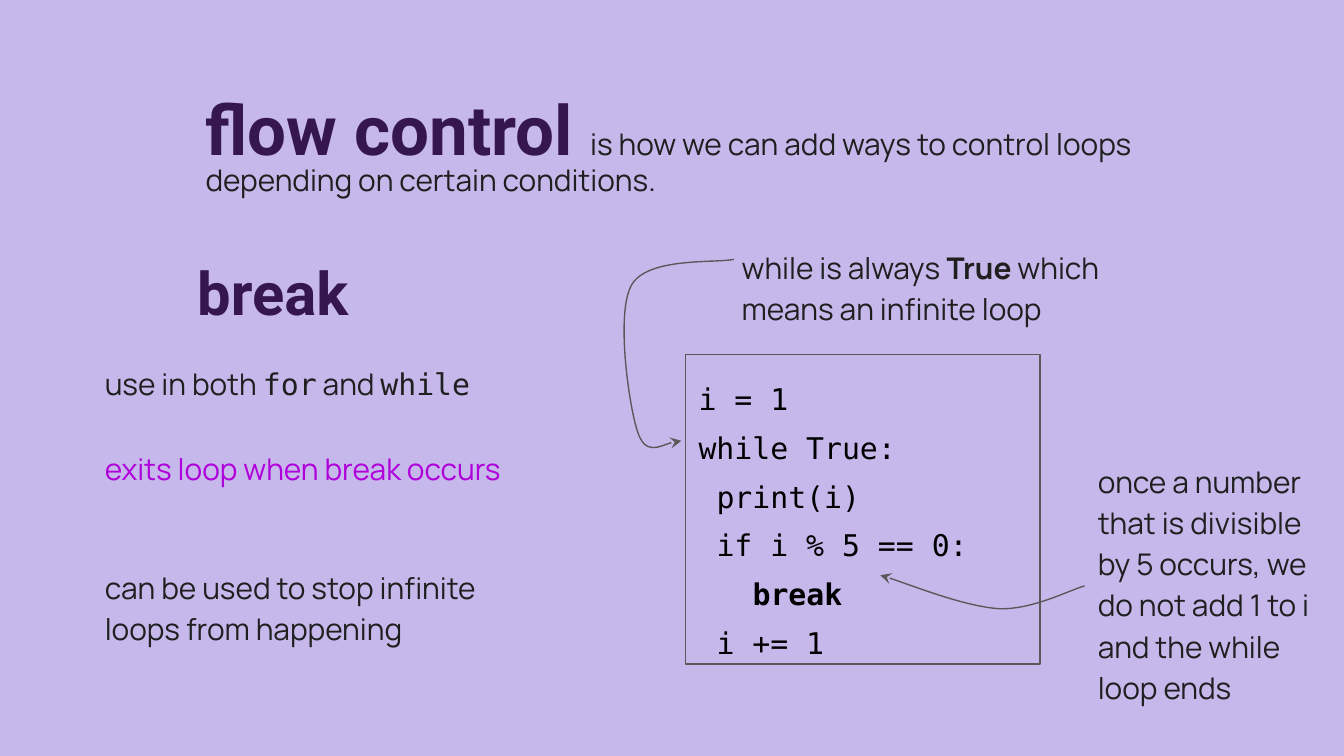
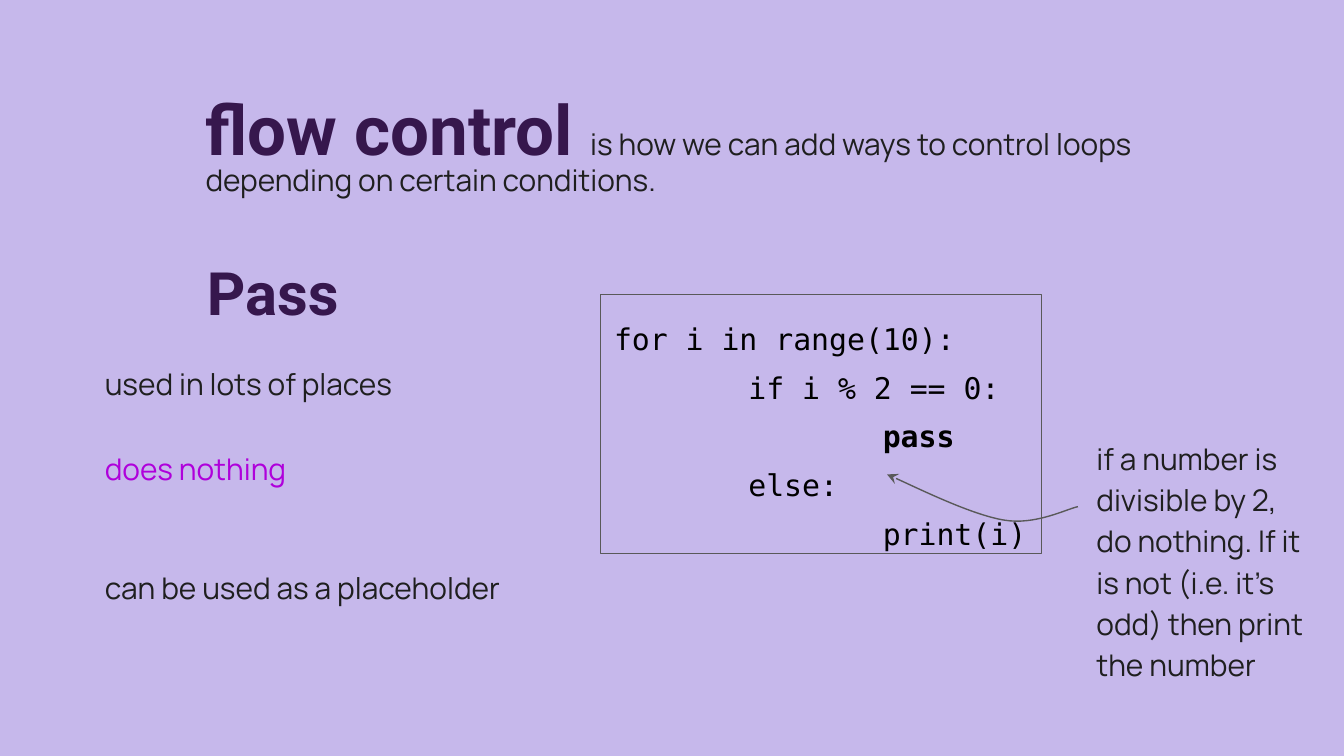
from collections import namedtuple
from dataclasses import dataclass, replace

from pptx import Presentation
from pptx.dml.color import RGBColor
from pptx.enum.shapes import MSO_SHAPE
from pptx.enum.text import MSO_ANCHOR, MSO_AUTO_SIZE, PP_ALIGN
from pptx.oxml.ns import qn
from pptx.oxml.xmlchemy import OxmlElement
from pptx.util import Inches, Pt


@dataclass(frozen=True)
class Style:
    font: str
    size: float
    color: str
    bold: bool = False


@dataclass(frozen=True)
class Spacing:
    line: float
    before: float = 0
    after: float = 0


@dataclass(frozen=True)
class Theme:
    background: str = "C6B8EB"
    outline: str = "595959"
    outline_width: float = 0.75
    title: Style = Style("Roboto", 37, "36174D", True)
    heading: Style = Style("Roboto", 32, "36174D", True)
    body: Style = Style("Manrope", 16, "1F1F1F")
    accent: Style = Style("Manrope", 16, "AF00DB")
    inline_code: Style = Style("DejaVu Sans Mono", 16, "1F1F1F")
    code: Style = Style("DejaVu Sans Mono", 16, "000000")
    title_spacing: Spacing = Spacing(0.8)
    body_spacing: Spacing = Spacing(1.15, 6, 5)
    code_spacing: Spacing = Spacing(1.36)


THEME = Theme()
Box = namedtuple("Box", "left top width height")

# The slide is a grid of 100 columns and 56.25 rows; boxes are in these units.
CELL = Inches(0.1)
COLUMNS, ROWS = 100, 56.25
COMPARISON_LAYOUT = 4

TITLE_BOX = Box(14.3, 6.6, 73.4, 9.2)
HEADING_BOX = Box(3.9, 19.1, 32.8, 6.3)
POINTS_BOX = Box(6.8, 25.8, 32.8, 23)
POINT_OFFSETS = (0, 6.3, 15.2)
LINE_ROWS = 3.1
PADDING_ROWS = 1.6


def grid(value):
    return round(value * CELL)


def bold(style):
    return replace(style, bold=True)


def place(shape, box):
    shape.left, shape.top, shape.width, shape.height = map(grid, box)


def write(para, text, *, style):
    span = para.add_run()
    span.text = text
    span.font.name = style.font
    span.font.size = Pt(style.size)
    span.font.bold = style.bold
    span.font.color.rgb = RGBColor.from_string(style.color)


def fill_frame(shape, lines, spacing, align=PP_ALIGN.LEFT):
    """Write lines, each an (indent in columns, spans) pair, into a shape."""
    frame = shape.text_frame
    frame.word_wrap = True
    frame.auto_size = MSO_AUTO_SIZE.SHAPE_TO_FIT_TEXT
    frame.vertical_anchor = MSO_ANCHOR.TOP
    frame.margin_left = frame.margin_right = CELL
    frame.margin_top = frame.margin_bottom = CELL
    for number, (indent, spans) in enumerate(lines):
        para = frame.add_paragraph() if number else frame.paragraphs[0]
        para.alignment = align
        para.line_spacing = spacing.line
        para.space_before = Pt(spacing.before)
        para.space_after = Pt(spacing.after)
        properties = para._p.get_or_add_pPr()
        properties.set("marL", str(grid(indent)))
        properties.set("indent", "0")
        properties.append(OxmlElement("a:buNone"))
        for text, style in spans:
            write(para, text, style=style)


def draw_outline(shape):
    shape.shadow.inherit = False
    shape.fill.background()
    shape.line.color.rgb = RGBColor.from_string(THEME.outline)
    shape.line.width = Pt(THEME.outline_width)


def add_title(page, box):
    place(page.shapes.title, box)
    spans = [
        ("flow control ", THEME.title),
        ("is how we can add ways to control loops depending on certain conditions.",
         THEME.body),
    ]
    fill_frame(page.shapes.title, [(0, spans)], THEME.title_spacing)


def add_heading(page, box, text):
    heading = page.placeholders[1]
    place(heading, box)
    fill_frame(heading, [(0, [(text, THEME.heading)])],
               THEME.title_spacing, PP_ALIGN.CENTER)


def add_points(page, box, points):
    """Place three points, each a (line count, spans) pair, down the box."""
    for index, (offset, (line_count, spans)) in enumerate(zip(POINT_OFFSETS, points)):
        point = page.placeholders[2 + index]
        height = PADDING_ROWS + LINE_ROWS * line_count
        place(point, Box(box.left, box.top + offset, box.width, height))
        fill_frame(point, [(0, spans)], THEME.body_spacing)


def add_code(page, box, lines):
    panel = page.shapes.add_shape(MSO_SHAPE.RECTANGLE, *map(grid, box))
    draw_outline(panel)
    fill_frame(panel, lines, THEME.code_spacing)


def bend(curve):
    """Turn each three line segments of a freeform into one cubic curve."""
    segments = curve._element.findall(".//" + qn("a:lnTo"))
    for first, second, third in zip(*[iter(segments)] * 3):
        first.tag = qn("a:cubicBezTo")
        for segment in (second, third):
            first.append(segment[0])
            segment.getparent().remove(segment)


def add_curved_arrow(shapes, box, points):
    """Draw a curve whose points are offsets from the box's top left corner."""
    start, *others = [(grid(box.left + x), grid(box.top + y)) for x, y in points]
    builder = shapes.build_freeform(*start, scale=1.0)
    builder.add_line_segments(others, close=False)
    arrow = builder.convert_to_shape()
    draw_outline(arrow)
    bend(arrow)
    head = OxmlElement("a:tailEnd")
    head.set("type", "stealth")
    arrow.line._get_or_add_ln().append(head)


def add_callout(page, box, spans, arrow_points):
    group = page.shapes.add_group_shape()
    caption = group.shapes.add_textbox(*map(grid, box))
    fill_frame(caption, [(0, spans)], THEME.body_spacing)
    add_curved_arrow(group.shapes, box, arrow_points)


def add_keyword_page(deck, keyword, points, code_box, code_lines, callouts):
    page = deck.slides.add_slide(deck.slide_layouts[COMPARISON_LAYOUT])
    add_title(page, TITLE_BOX)
    add_heading(page, HEADING_BOX, keyword)
    add_points(page, POINTS_BOX, points)
    add_code(page, code_box, code_lines)
    for callout in callouts:
        add_callout(page, *callout)


def add_break_page(deck):
    body, code, inline = THEME.body, THEME.code, THEME.inline_code
    step = 1.34
    add_keyword_page(
        deck,
        "break",
        points=[
            (1, [("use in both ", body), ("for", inline),
                 (" and ", body), ("while", inline)]),
            (1, [("exits loop when break occurs", THEME.accent)]),
            (2, [("can be used to stop infinite loops from happening", body)]),
        ],
        code_box=Box(51, 26.4, 26.4, 23),
        code_lines=[
            (0, [("i = 1", code)]),
            (0, [("while True:", code)]),
            (step, [("print(i)", code)]),
            (step, [("if i % 5 == 0:", code)]),
            (3 * step, [("break", bold(code))]),
            (step, [("i += 1", code)]),
        ],
        callouts=[
            (Box(54.2, 17.2, 32.8, 7.8),
             [("while is always ", body), ("True", bold(body)),
              (" which means an infinite loop", body)],
             [(0.4, 2.1), (-0.9, 2.4), (-6, 1.9), (-7.2, 4), (-8.4, 6.1),
              (-7.4, 12.9), (-6.8, 14.8), (-6.2, 16.8), (-4, 15.5), (-3.5, 15.6)]),
            (Box(80.7, 33.1, 18.4, 20.2),
             [("once a number that is divisible by 5 occurs, we do not add 1 to i "
               "and the while loop ends", body)],
             [(0, 10.5), (-1.1, 10.8), (-3.9, 12.3), (-6.4, 12.2),
              (-9, 12), (-13.8, 10.1), (-15.2, 9.7)]),
        ],
    )


def add_pass_page(deck):
    body, code = THEME.body, THEME.code
    step = 10
    add_keyword_page(
        deck,
        "Pass",
        points=[
            (1, [("used in lots of places", body)]),
            (1, [("does nothing", THEME.accent)]),
            (1, [("can be used as a placeholder", body)]),
        ],
        code_box=Box(44.7, 21.9, 32.8, 19.3),
        code_lines=[
            (0, [("for i in range(10):", code)]),
            (step, [("if i % 2 == 0:", code)]),
            (2 * step, [("pass", bold(code))]),
            (step, [("else:", code)]),
            (2 * step, [("print(i)", code)]),
        ],
        callouts=[
            (Box(80.6, 31.4, 18.4, 20.2),
             [("if a number is divisible by 2, do nothing. If it is not "
               "(i.e. it’s odd) then print the number", body)],
             [(-0.4, 6.3), (-1.3, 6.5), (-3.6, 7.7), (-5.9, 7.3),
              (-8.3, 6.9), (-13.2, 4.5), (-14.6, 3.9)]),
        ],
    )


def main():
    deck = Presentation()
    deck.slide_width, deck.slide_height = grid(COLUMNS), grid(ROWS)
    background = deck.slide_master.background.fill
    background.solid()
    background.fore_color.rgb = RGBColor.from_string(THEME.background)
    add_break_page(deck)
    add_pass_page(deck)
    deck.save("out.pptx")


if __name__ == "__main__":
    main()
